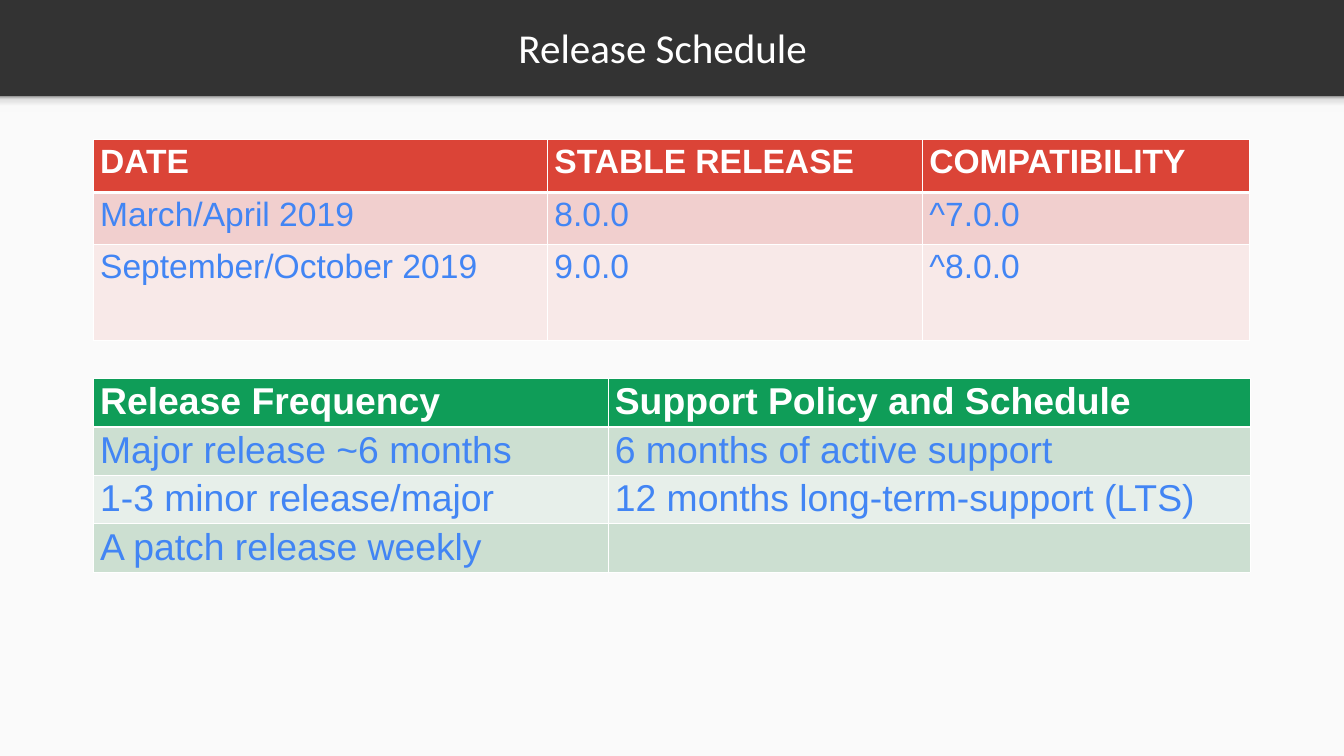
from lxml.etree import SubElement
from pptx import Presentation
from pptx.dml.color import RGBColor
from pptx.enum.shapes import MSO_SHAPE
from pptx.enum.text import MSO_ANCHOR, PP_ALIGN
from pptx.oxml import parse_xml
from pptx.oxml.ns import nsdecls, qn
from pptx.util import Emu, Inches, Pt

COLORS = {
    "bar": "333333",
    "page": "FAFAFA",
    "white": "FFFFFF",
    "text": "4285F4",
    "red": "DB4437",
    "red_dark": "F1CFCE",
    "red_light": "F8E9E8",
    "green": "0F9D58",
    "green_dark": "CCDFD1",
    "green_light": "E7EFEA",
}
SHADOW_STOPS = [(0, "F9F9F9"), (36, "F9F9F9"), (80, "DEDEDE"), (100, "999999")]
SLIDE_HEIGHT = Emu(10282238)
TABLE_LEFT = 1.39


def color(name):
    return RGBColor.from_string(COLORS[name])


def write_text(text_frame, text, size, font="Arial", fill="text", bold=False,
               align=PP_ALIGN.LEFT):
    paragraph = text_frame.paragraphs[0]
    paragraph.alignment = align
    run = paragraph.add_run()
    run.text = text
    run.font.size = Pt(size)
    run.font.name = font
    run.font.bold = bold
    run.font.color.rgb = color(fill)


def add_rectangle(slide, left, top, width, height):
    shape = slide.shapes.add_shape(
        MSO_SHAPE.RECTANGLE, Inches(left), Inches(top), Inches(width), Inches(height))
    shape.shadow.inherit = False
    shape.line.fill.background()
    shape.fill.solid()
    shape.fill.fore_color.rgb = color("page")
    return shape


def add_header_shadow(slide):
    shape = add_rectangle(slide, 0, 1.43, 20, 0.24)
    stops = "".join(
        f'<a:gs pos="{position * 1000}"><a:srgbClr val="{value}"/></a:gs>'
        for position, value in SHADOW_STOPS)
    gradient = parse_xml(
        f'<a:gradFill {nsdecls("a")}><a:gsLst>{stops}</a:gsLst>'
        '<a:lin ang="16200000" scaled="0"/></a:gradFill>')
    properties = shape.element.spPr
    properties.replace(properties.find(qn("a:solidFill")), gradient)


def set_borders(cell, top, bottom):
    properties = cell._tc.get_or_add_tcPr()
    widths = {"lnL": 1, "lnR": 1, "lnT": top, "lnB": bottom}
    for index, (side, width) in enumerate(widths.items()):
        line = parse_xml(f'<a:{side} {nsdecls("a")} w="{Pt(width)}"/>')
        fill = SubElement(line, qn("a:solidFill"))
        SubElement(fill, qn("a:srgbClr")).set("val", COLORS["white"])
        properties.insert(index, line)


def add_release_table(slide, top, columns, heights, rows, size, theme, margin):
    frame = slide.shapes.add_table(
        len(rows), len(columns), Inches(TABLE_LEFT), Inches(top),
        Inches(sum(columns)), Inches(sum(heights)))
    table = frame.table
    for column, width in zip(table.columns, columns):
        column.width = Inches(width)
    for row_index, (height, texts) in enumerate(zip(heights, rows)):
        table.rows[row_index].height = Inches(height)
        header = row_index == 0
        band = theme if header else theme + ("_dark" if row_index % 2 else "_light")
        for column_index, text in enumerate(texts):
            cell = table.cell(row_index, column_index)
            cell.margin_top = cell.margin_bottom = Inches(margin)
            cell.fill.solid()
            cell.fill.fore_color.rgb = color(band)
            set_borders(cell, top=3 if row_index == 1 else 1, bottom=3 if header else 1)
            if text:
                write_text(cell.text_frame, text, size, bold=header,
                           fill="white" if header else "text")


def add_title(slide, text):
    title = slide.shapes.title
    title.left, title.top = Inches(0.21), Inches(0.04)
    title.width, title.height = Inches(19.31), Inches(1.32)
    text_frame = title.text_frame
    text_frame.word_wrap = True
    text_frame.vertical_anchor = MSO_ANCHOR.MIDDLE
    text_frame.margin_left = text_frame.margin_right = Inches(0.2)
    text_frame.margin_top = text_frame.margin_bottom = Inches(0.2)
    write_text(text_frame, text, 44, font="Calibri", fill="white", align=PP_ALIGN.CENTER)


def main():
    presentation = Presentation()
    presentation.slide_width = Inches(20)
    presentation.slide_height = SLIDE_HEIGHT
    slide = presentation.slides.add_slide(presentation.slide_layouts[5])
    slide.background.fill.solid()
    slide.background.fill.fore_color.rgb = color("bar")
    add_rectangle(slide, 0, 1.44, 20, 9.81)
    add_header_shadow(slide)
    add_title(slide, "Release Schedule")
    add_release_table(
        slide, 2.08, [6.76, 5.58, 4.87], [0.78, 0.78, 1.42],
        [["DATE", "STABLE RELEASE", "COMPATIBILITY"],
         ["March/April 2019", "8.0.0", "^7.0.0"],
         ["September/October 2019", "9.0.0", "^8.0.0"]],
        size=36, theme="red", margin=0.05)
    add_release_table(
        slide, 5.63, [7.66, 9.55], [0.72] * 4,
        [["Release Frequency", "Support Policy and Schedule"],
         ["Major release ~6 months", "6 months of active support"],
         ["1-3 minor release/major", "12 months long-term-support (LTS)"],
         ["A patch release weekly", ""]],
        size=40, theme="green", margin=0.04)
    presentation.save("out.pptx")


main()
